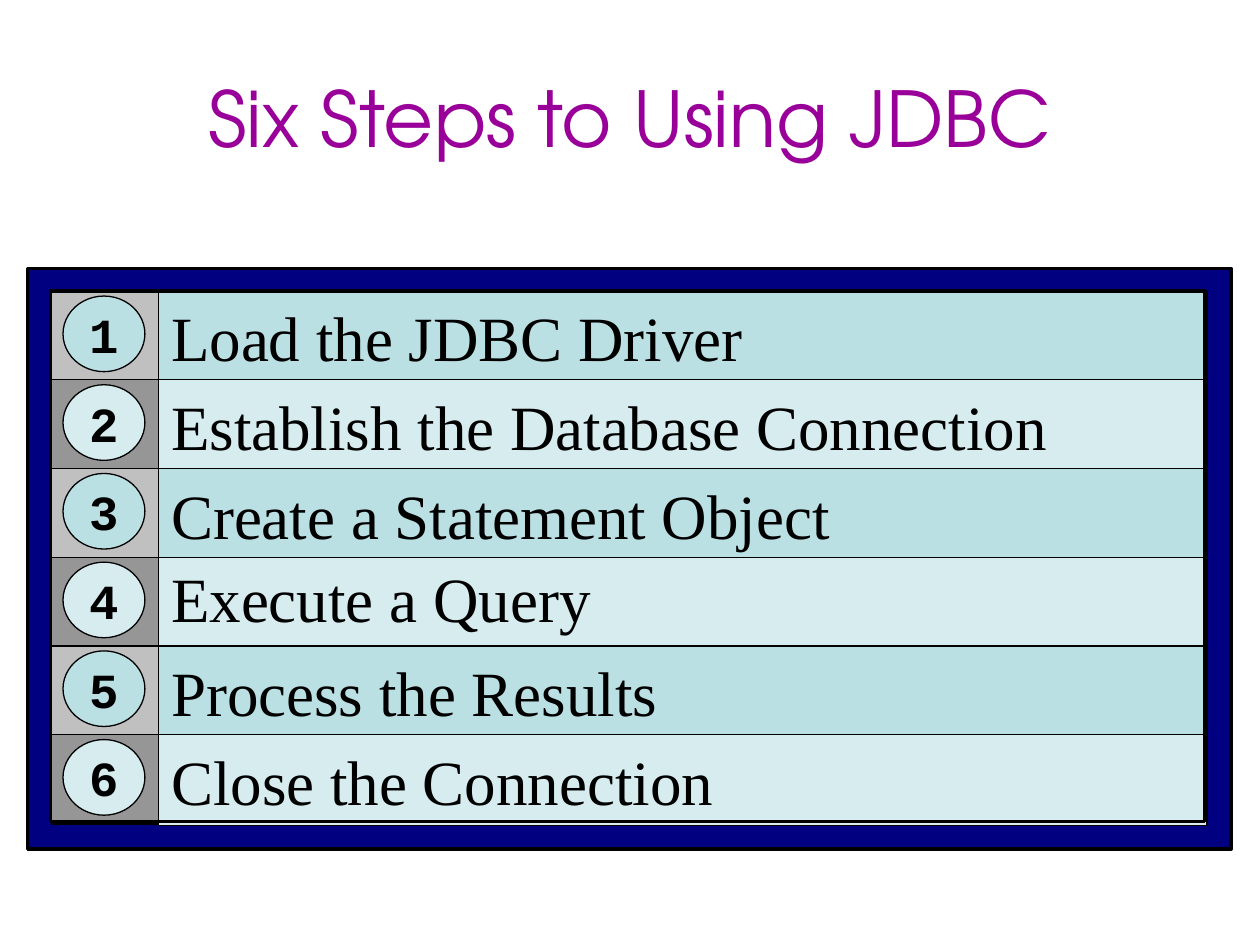
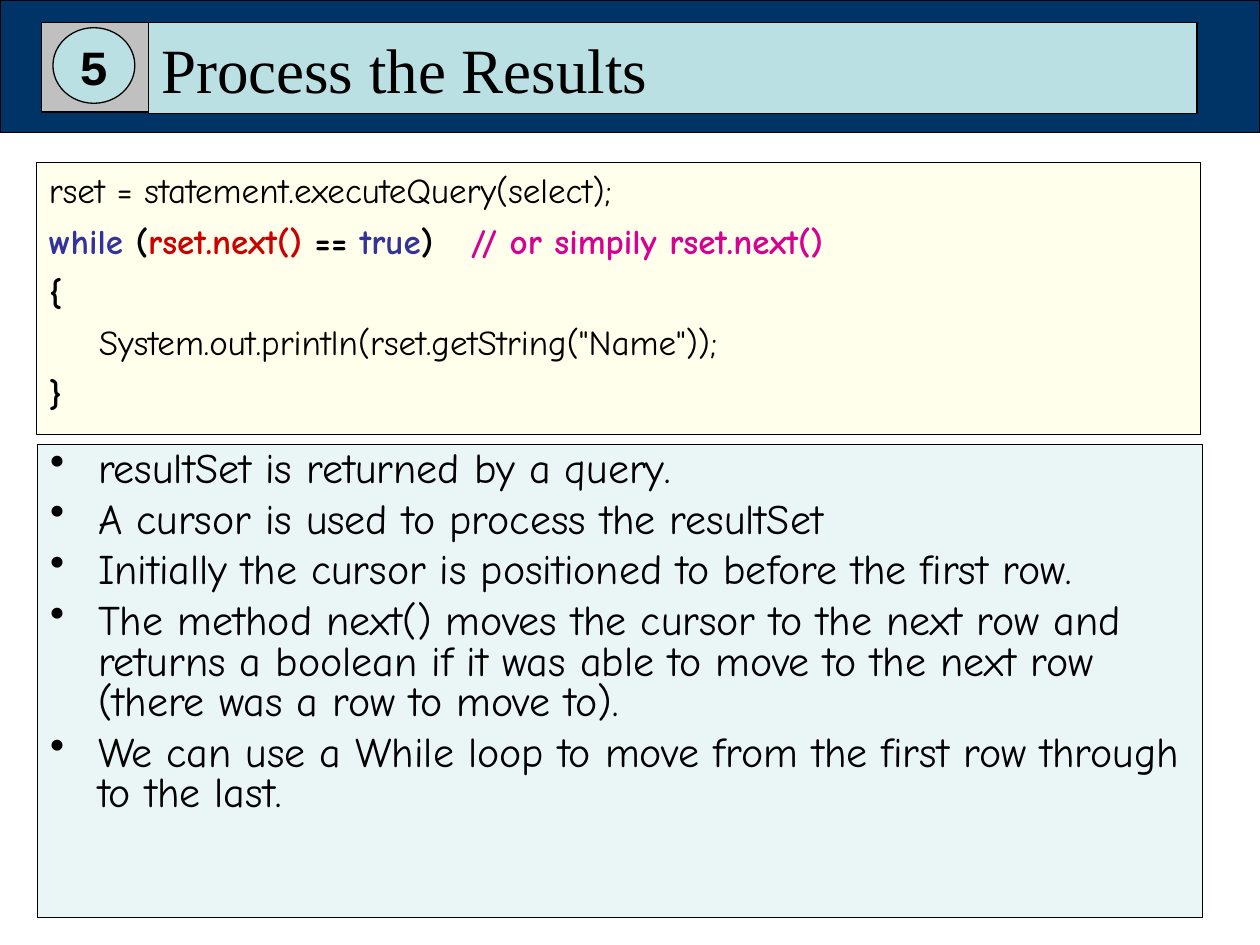
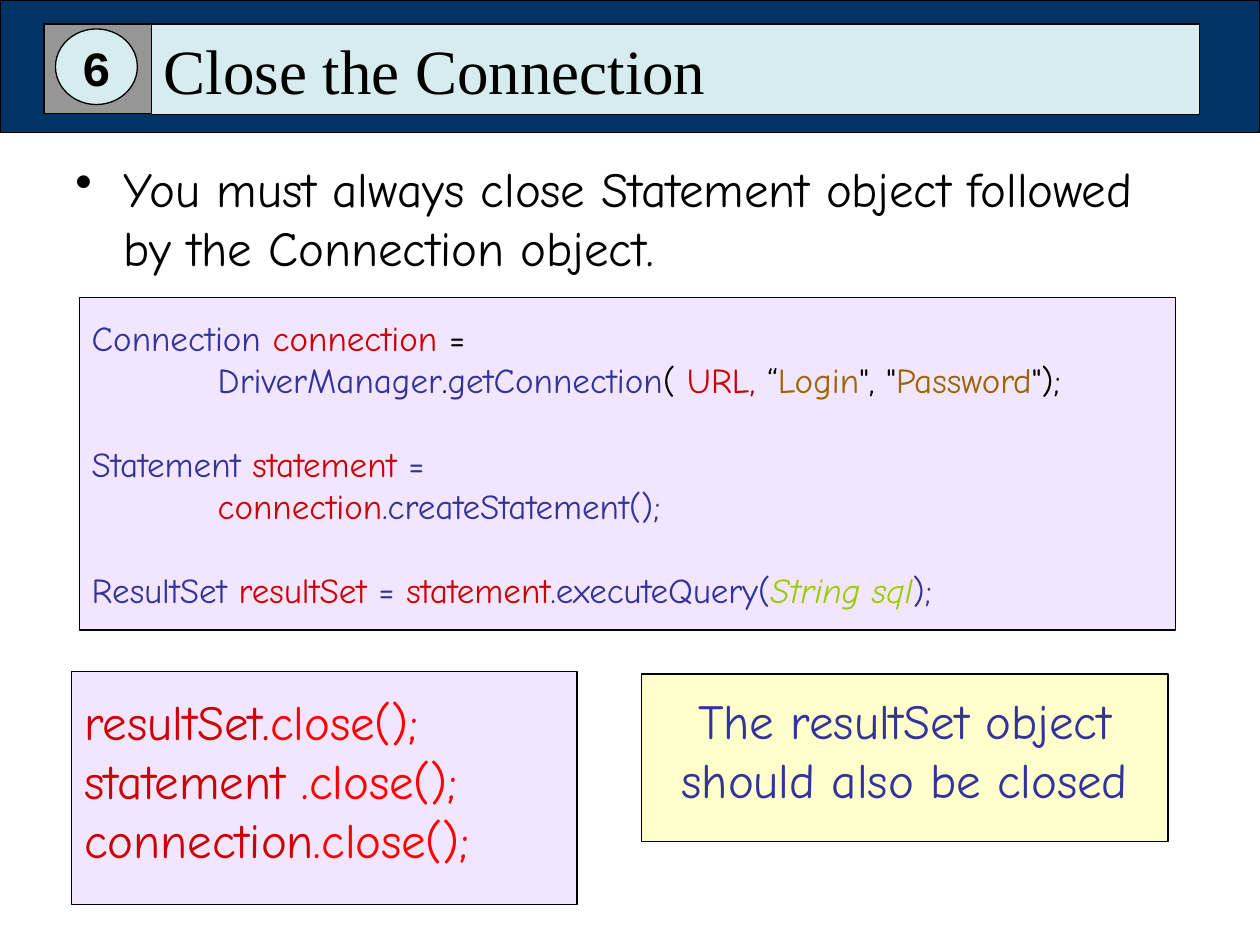
import lxml.etree
import pptx
import pptx.dml.color
import pptx.enum.shapes
import pptx.enum.text
import pptx.oxml.ns
import pptx.util

Inches = pptx.util.Inches
Pt = pptx.util.Pt
SHAPE = pptx.enum.shapes.MSO_SHAPE
ALIGN = pptx.enum.text.PP_ALIGN
ANCHOR = pptx.enum.text.MSO_ANCHOR

COLOURS = {
    "black": "000000", "title": "990099", "frame": "000080", "band": "003366",
    "odd": "BBE0E3", "even": "D6ECEE", "odd badge": "C0C0C0", "even badge": "969696",
    "notes": "EAF5F6", "cream": "FFFFEB", "lilac": "F2E5FF", "yellow": "FFFFCC",
    "blue": "333399", "red": "CC0000", "bright red": "FF0000", "pink": "D60093",
    "maroon": "990000", "brown": "996600", "green": "99CC00",
}
STEPS = [
    "Load the JDBC Driver", "Establish the Database Connection",
    "Create a Statement Object", "Execute a Query",
    "Process the Results", "Close the Connection",
]
TITLE_FONT = {"name": "TeX Gyre Adventor", "size": Pt(44)}
STEP_FONT = {"name": "Times New Roman", "size": Pt(36)}
BADGE_FONT = {"name": "Courier New", "size": Pt(28), "bold": True}
CODE_FONT = {"name": "Comic Neue", "size": Pt(20)}
NOTE_FONT = {"name": "Comic Neue", "size": Pt(24)}
LARGE_FONT = {"name": "Comic Neue", "size": Pt(28)}
BOLD = {"bold": True}
HANGING = (0.38, -0.38)
STEP_PITCH = 0.704

RESULT_LOOP = [
    [("rset = statement.executeQuery(select);", "black")],
    [("while", "blue", BOLD), (" (", "black", BOLD), ("rset.next()", "red", BOLD),
     (" == ", "black", BOLD), ("true", "blue", BOLD), (")   ", "black", BOLD),
     ("// or simpily rset.next()", "pink", BOLD)],
    [("{", "black", BOLD)],
    [("    ", "black", BOLD),
     ('System.out.println(rset.getString("Name"));', "black")],
    [("}", "black", BOLD)],
]
RESULT_NOTES = [
    "resultSet is returned by a query.",
    "A cursor is used to process the resultSet",
    "Initially the cursor is positioned to before the first row.",
    "The method next() moves the cursor to the next row and returns a boolean "
    "if it was able to move to the next row (there was a row to move to).",
    "We can use a While loop to move from the first row through to the last.",
]
OPENING_CODE = [
    ([("Connection ", "blue"), ("connection", "red"), (" =", "black")], {}),
    ([("DriverManager", "blue"), (".", "black"), ("getConnection", "blue"),
      ("( ", "black"), ("URL", "red"), (",", "maroon"), (" “", "black"),
      ("Login", "brown"), ('", "', "black"), ("Password", "brown"),
      ('");', "black")], {"indent": (1, 0)}),
    ([("Statement ", "blue"), ("statement", "red"), (" =", "blue")],
     {"space_before": Pt(24)}),
    ([("connection", "red"), (".createStatement();", "blue")], {"indent": (1, 0)}),
    ([("ResultSet ", "blue"), ("resultSet", "red"), (" = ", "blue"),
      ("statement", "red"), (".executeQuery(", "blue"),
      ("String sql", "green", {"italic": True}), (");", "blue")],
     {"space_before": Pt(24)}),
]
CLOSING_CODE = [
    [("resultSet.", "red"), ("close();", "bright red")],
    [("statement ", "red"), (".close();", "bright red")],
    [("connection", "red"), (".close();", "bright red")],
]


def assign(target, values):
    for name, value in values.items():
        setattr(target, name, value)


def rgb(name):
    return pptx.dml.color.RGBColor.from_string(COLOURS[name])


def add_box(shapes, box, fill=None, line=0.75, kind=SHAPE.RECTANGLE):
    shape = shapes.add_shape(kind, *map(Inches, box))
    shape.shadow.inherit = False
    if fill:
        shape.fill.solid()
        shape.fill.fore_color.rgb = rgb(fill)
    else:
        shape.fill.background()
    shape.line.color.rgb = rgb("black")
    shape.line.width = Pt(line)
    return shape


def set_indent(para, indent, bullet):
    properties = para._p.get_or_add_pPr()
    for name, length in zip(("marL", "indent"), indent):
        properties.set(name, str(Inches(length)))
    if bullet:
        mark = lxml.etree.SubElement(properties, pptx.oxml.ns.qn("a:buChar"))
        mark.set("char", "•")


def write(shape, lines, font, anchor=ANCHOR.MIDDLE, align=ALIGN.LEFT, bottom=0.05):
    frame = shape.text_frame
    assign(frame, {
        "word_wrap": True, "vertical_anchor": anchor,
        "margin_left": Inches(0.1), "margin_right": Inches(0.1),
        "margin_top": Inches(0.05), "margin_bottom": Inches(bottom),
    })
    for index, (spans, layout) in enumerate(lines):
        para = frame.add_paragraph() if index else frame.paragraphs[0]
        layout = dict(layout)
        indent = layout.pop("indent", (0, 0))
        bullet = layout.pop("bullet", False)
        if index == 0:
            layout.pop("space_before", None)
        assign(para, {"alignment": align, **layout})
        set_indent(para, indent, bullet)
        for text, colour, *extra in spans:
            for number, part in enumerate(text.split("\n")):
                if number:
                    para.add_line_break()
                span = para.add_run()
                span.text = part
                assign(span.font, {**font, **(extra[0] if extra else {})})
                span.font.color.rgb = rgb(colour)


def repeat_layout(lines, **layout):
    return [(spans, layout) for spans in lines]


def add_step(page, left, top, number, **layout):
    group = page.shapes.add_group_shape().shapes
    tone = "odd" if number % 2 else "even"
    label = add_box(group, (left + 0.85, top, 8.32, 0.72), tone)
    write(label, [([(STEPS[number - 1], "black")], layout)], STEP_FONT)
    add_box(group, (left, top, 0.85, 0.71), tone + " badge")
    badge = add_box(group, (left + 0.09, top + 0.04, 0.65, 0.6), tone, kind=SHAPE.OVAL)
    write(badge, [([(str(number), "black")], {})], BADGE_FONT, align=ALIGN.CENTER)


def add_header(page, left, top, number):
    add_box(page.shapes, (0, 0, 10, 1.05), "band")
    add_step(page, left, top, number)


def add_step_list(page, left, top):
    add_box(page.shapes, (left - 0.19, top - 0.18, 9.55, 4.61), "frame", 2)
    for index in range(len(STEPS)):
        layout = {"line_spacing": 0.9} if index == 3 else {}
        add_step(page, left, top + index * STEP_PITCH, index + 1, **layout)
    add_box(page.shapes, (left - 0.01, top, 9.16, 4.21), line=2)


def build_overview(page):
    title = page.shapes.add_textbox(*map(Inches, (0.5, 0.3, 9, 1.25)))
    write(title, [([("Six Steps to Using JDBC", "title")], {})], TITLE_FONT,
          align=ALIGN.CENTER)
    add_step_list(page, 0.41, 2.31)


def build_results(page):
    notes = add_box(page.shapes, (0.3, 3.53, 9.24, 3.75), "notes", 0.5)
    lines = [[(text, "black")] for text in RESULT_NOTES]
    write(notes, repeat_layout(lines, indent=HANGING, bullet=True,
                               line_spacing=0.8, space_before=Pt(6)),
          NOTE_FONT, ANCHOR.TOP)
    add_header(page, 0.33, 0.18, 5)
    code = add_box(page.shapes, (0.29, 1.29, 9.24, 2.16), "cream", 0.5)
    write(code, repeat_layout(RESULT_LOOP, indent=HANGING, space_before=Pt(5)),
          CODE_FONT, ANCHOR.TOP)


def build_closing(page):
    add_header(page, 0.35, 0.19, 6)
    advice = page.shapes.add_textbox(*map(Inches, (0.5, 1.21, 9, 1.04)))
    sentence = "You must always close Statement object followed by the Connection object."
    write(advice, [([(sentence, "black")], {"indent": HANGING, "bullet": True})],
          LARGE_FONT, ANCHOR.TOP)
    opening = add_box(page.shapes, (0.63, 2.36, 8.7, 2.64), "lilac")
    write(opening, OPENING_CODE, CODE_FONT)
    closing = add_box(page.shapes, (0.57, 5.33, 4.01, 1.85), "lilac")
    write(closing, repeat_layout(CLOSING_CODE), LARGE_FONT, bottom=0.18)
    reminder = add_box(page.shapes, (5.09, 5.35, 4.18, 1.33), "yellow")
    write(reminder, [([("The resultSet object\nshould also be closed", "blue")], {})],
          LARGE_FONT, align=ALIGN.CENTER, bottom=0.18)


def main():
    deck = pptx.Presentation()
    assign(deck, {"slide_width": Inches(10), "slide_height": Inches(7.5)})
    for build in (build_overview, build_results, build_closing):
        build(deck.slides.add_slide(deck.slide_layouts[6]))
    deck.save("out.pptx")


if __name__ == "__main__":
    main()
